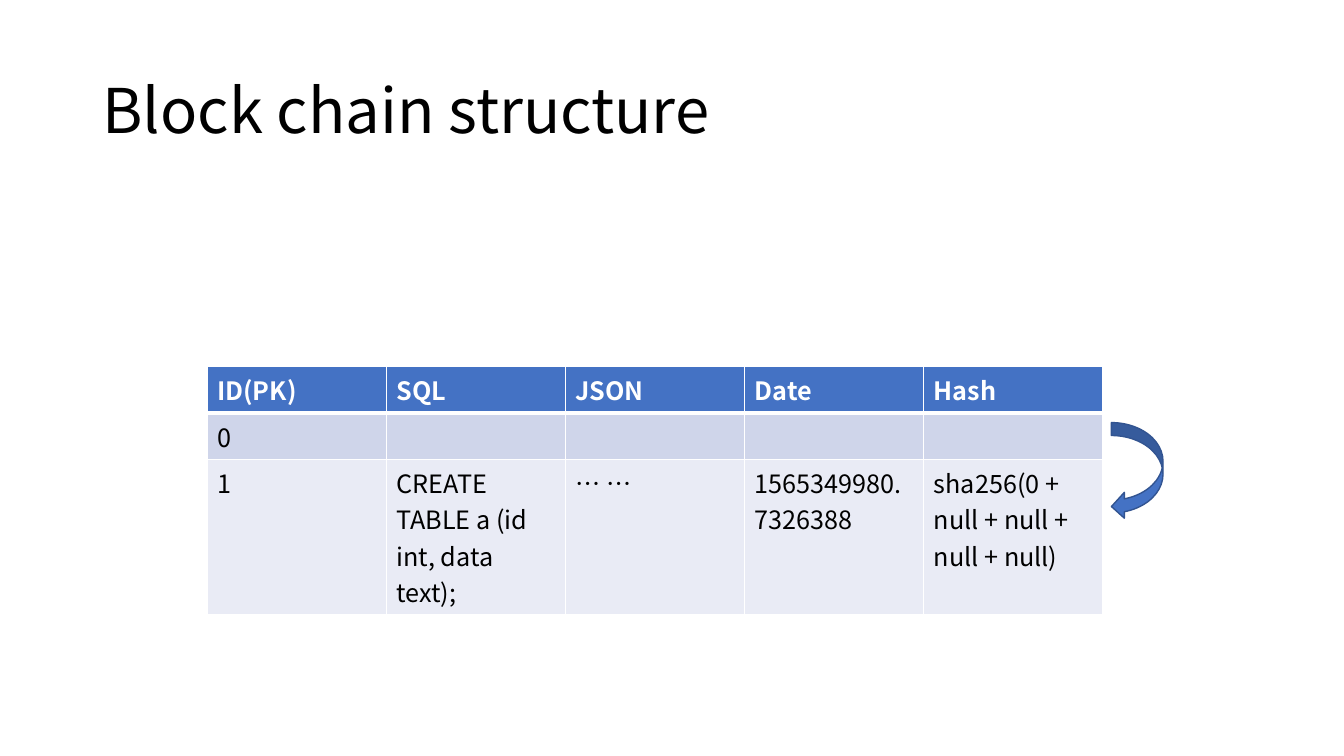
from dataclasses import dataclass

from lxml import etree
from pptx import Presentation
from pptx.dml.color import RGBColor
from pptx.enum.shapes import MSO_SHAPE
from pptx.enum.text import MSO_ANCHOR
from pptx.oxml.ns import qn
from pptx.slide import Slide
from pptx.table import _Cell
from pptx.text.text import _Paragraph
from pptx.util import Cm, Pt

CURVED_ARROW = MSO_SHAPE.CURVED_LEFT_ARROW
MIDDLE = MSO_ANCHOR.MIDDLE
BLANK_LAYOUT = 6


@dataclass(frozen=True)
class Theme:
    font: str = "Noto Sans CJK KR"
    title_size: int = 44
    cell_size: int = 18
    ink: str = "000000"
    paper: str = "FFFFFF"
    accent: str = "4472C4"
    accent_edge: str = "325491"
    dark_band: str = "CFD5EA"
    light_band: str = "E9EBF5"
    thin: int = 1
    thick: int = 3


THEME = Theme()


@dataclass(frozen=True)
class Box:
    left: float
    top: float
    width: float
    height: float

    def lengths(self) -> tuple[Cm, Cm, Cm, Cm]:
        return Cm(self.left), Cm(self.top), Cm(self.width), Cm(self.height)


@dataclass(frozen=True)
class BlockRow:
    values: tuple[str, ...]
    fill: str
    height: float = 1.17
    ink: str = THEME.ink
    bold: bool = False
    top_rule: int = THEME.thin
    bottom_rule: int = THEME.thin


CHAIN = (
    BlockRow(("ID(PK)", "SQL", "JSON", "Date", "Hash"), THEME.accent,
             ink=THEME.paper, bold=True, bottom_rule=THEME.thick),
    BlockRow(("0", "", "", "", ""), THEME.dark_band, top_rule=THEME.thick),
    BlockRow(("1", "CREATE TABLE a (id int, data text);", "… …",
              "1565349980.7326388", "sha256(0 + null + null + null + null)"),
             THEME.light_band, height=3.92),
)

TITLE_BOX = Box(2.33, 1.01, 29.21, 3.68)
CHAIN_BOX = Box(5.22, 9.23, 22.58, sum(row.height for row in CHAIN))
HASH_ARROW_BOX = Box(28.01, 10.65, 1.3, 2.44)


def color(value: str) -> RGBColor:
    return RGBColor.from_string(value)


def add_text(paragraph: _Paragraph, text: str, size: int, ink: str,
             bold: bool = False) -> None:
    run = paragraph.add_run()
    run.text = text
    run.font.name = THEME.font
    run.font.size = Pt(size)
    run.font.bold = bold
    run.font.color.rgb = color(ink)
    east_asian = etree.SubElement(run.font._element, qn("a:ea"))
    east_asian.set("typeface", THEME.font)


def set_borders(cell: _Cell, row: BlockRow) -> None:
    properties = cell._tc.get_or_add_tcPr()
    weights = {"L": THEME.thin, "R": THEME.thin,
               "T": row.top_rule, "B": row.bottom_rule}
    for position, (side, weight) in enumerate(weights.items()):
        border = etree.Element(qn(f"a:ln{side}"), w=str(int(Pt(weight))))
        border_fill = etree.SubElement(border, qn("a:solidFill"))
        etree.SubElement(border_fill, qn("a:srgbClr"), val=THEME.paper)
        properties.insert(position, border)


def draw_title(slide: Slide, box: Box, text: str) -> None:
    frame = slide.shapes.add_textbox(*box.lengths()).text_frame
    frame.word_wrap = True
    frame.vertical_anchor = MIDDLE
    heading = frame.paragraphs[0]
    heading.line_spacing = 0.9
    add_text(heading, text, THEME.title_size, THEME.ink)


def draw_chain(slide: Slide, box: Box, rows: tuple[BlockRow, ...]) -> None:
    table = slide.shapes.add_table(
        len(rows), len(rows[0].values), *box.lengths()).table
    for row, table_row in zip(rows, table.rows):
        table_row.height = Cm(row.height)
        for value, cell in zip(row.values, table_row.cells):
            cell.fill.solid()
            cell.fill.fore_color.rgb = color(row.fill)
            set_borders(cell, row)
            if value:
                add_text(cell.text_frame.paragraphs[0], value,
                         THEME.cell_size, row.ink, row.bold)


def draw_hash_arrow(slide: Slide, box: Box) -> None:
    arrow = slide.shapes.add_shape(CURVED_ARROW, *box.lengths())
    arrow.shadow.inherit = False
    arrow.fill.solid()
    arrow.fill.fore_color.rgb = color(THEME.accent)
    arrow.line.color.rgb = color(THEME.accent_edge)
    arrow.line.width = Pt(THEME.thin)


def main() -> None:
    deck = Presentation()
    deck.slide_width = Cm(33.87)
    deck.slide_height = Cm(19.05)
    slide = deck.slides.add_slide(deck.slide_layouts[BLANK_LAYOUT])
    draw_title(slide, TITLE_BOX, "Block chain structure")
    draw_chain(slide, CHAIN_BOX, CHAIN)
    draw_hash_arrow(slide, HASH_ARROW_BOX)
    deck.save("out.pptx")


if __name__ == "__main__":
    main()
